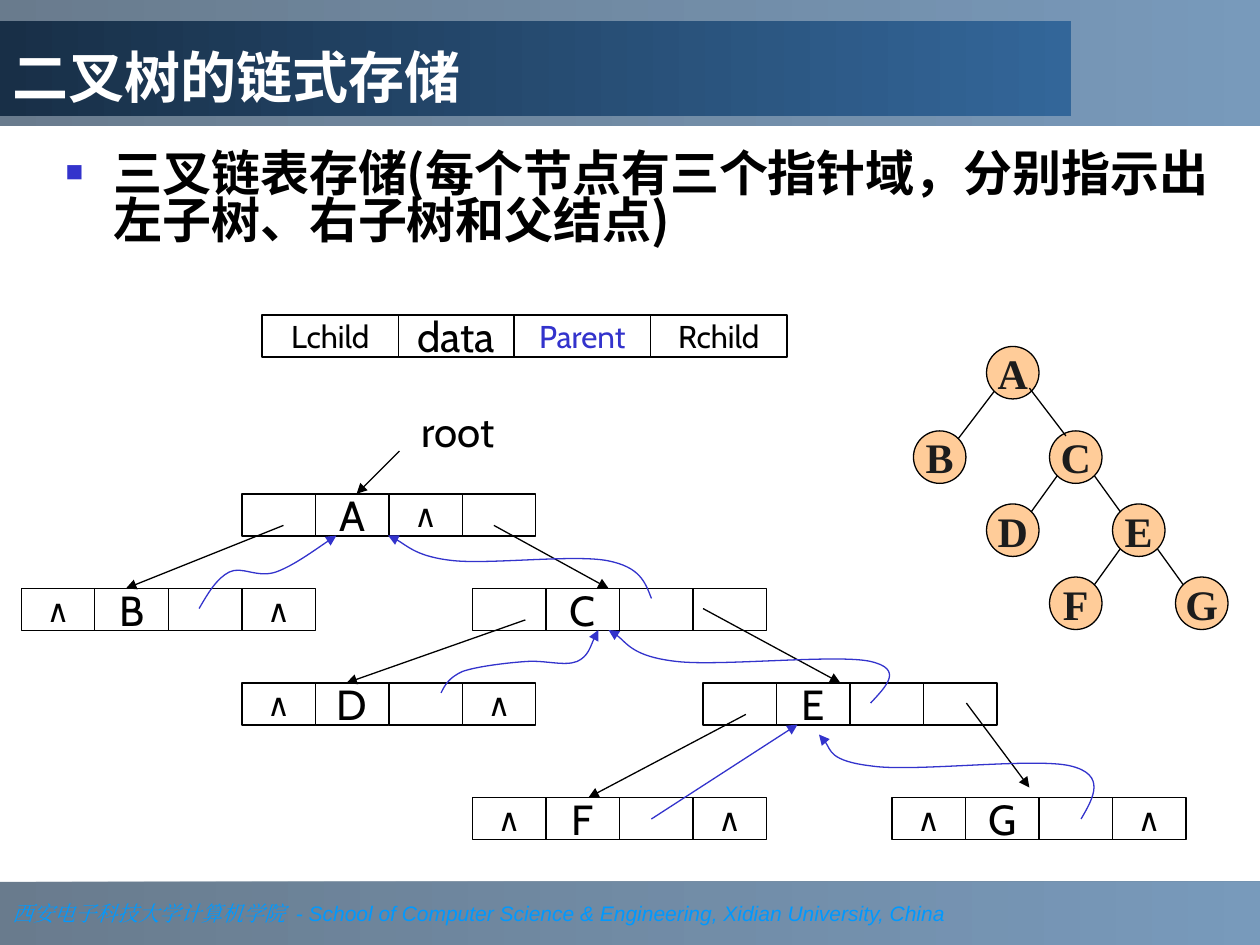
from pptx import Presentation, util as u
from pptx.dml.color import RGBColor
from pptx.enum import shapes, text
from pptx.oxml.ns import qn
from lxml import etree

# Content
TITLE = "二叉树的链式存储"
BODY = "三叉链表存储(每个节点有三个指针域，分别指示出左子树、右子树和父结点)"
FOOTER = [("西安电子科技大学计算机学院  ", "Times New Roman"),
          ("- School of Computer Science & Engineering, Xidian University, China", "Arial")]
COLORS = {"ink": "000000", "blue": "3333CC", "white": "FFFFFF", "footer": "0099FF",
          "circle": "FFCC99", "letter": "1C1C1C", "navy": "182F47", "band": "1C3853",
          "steel": "336699"}
NIL = "∧"
# Field name, width, size, colour
FIELDS = [("Lchild", 13 / 12, 18, "ink"), ("data", 11 / 12, 24, "ink"),
          ("Parent", 13 / 12, 18, "blue"), ("Rchild", 13 / 12, 18, "ink")]
# Left, top, then the lchild, data, parent and rchild cells
RECORDS = [(1.92, 3.92, ["", "A", NIL, ""]), (0.17, 4.67, [NIL, "B", "", NIL]),
           (3.75, 4.67, ["", "C", "", ""]), (1.92, 5.42, [NIL, "D", "", NIL]),
           (5.58, 5.42, ["", "E", "", ""]), (3.75, 6.33, [NIL, "F", "", NIL]),
           (7.08, 6.33, [NIL, "G", "", NIL])]
CHILD_ARROWS = [(3.17, 3.58, 2.83, 3.92), (2.25, 4.17, 1, 4.67), (3.92, 4.17, 4.83, 4.67),
                (4.17, 4.92, 2.75, 5.42), (5.58, 4.83, 6.67, 5.42),
                (5.92, 5.67, 4.67, 6.33), (7.67, 5.58, 8.17, 6.25)]
PARENT_ARROW = (5.17, 6.5, 6.33, 5.75)
# Bezier points: start, then two controls and an end for each segment
PARENT_CURVES = [
    [(1.58, 4.83), (1.65, 4.71), (1.72, 4.59), (1.82, 4.54), (1.92, 4.49), (2.04, 4.59),
     (2.19, 4.54), (2.33, 4.49), (2.59, 4.3), (2.67, 4.25)],
    [(5.17, 4.75), (5.12, 4.62), (5.08, 4.5), (4.82, 4.45), (4.56, 4.4), (3.89, 4.48),
     (3.6, 4.45), (3.31, 4.42), (3.17, 4.28), (3.08, 4.25)],
    [(3.5, 5.5), (3.53, 5.44), (3.56, 5.38), (3.67, 5.33), (3.78, 5.29), (4.03, 5.26),
     (4.18, 5.25), (4.33, 5.24), (4.48, 5.29), (4.58, 5.25), (4.67, 5.21), (4.72, 5.04),
     (4.75, 5)],
    [(6.91, 5.58), (7.04, 5.44), (7.17, 5.31), (6.91, 5.25), (6.65, 5.19), (5.71, 5.29),
     (5.37, 5.25), (5.02, 5.21), (4.93, 5.04), (4.83, 5)],
    [(8.58, 6.5), (8.68, 6.33), (8.78, 6.15), (8.5, 6.08), (8.22, 6.01), (7.25, 6.13),
     (6.92, 6.08), (6.58, 6.04), (6.57, 5.88), (6.5, 5.83)]]
# Small tree: left and top of each circle, and its edges
CIRCLES = {"A": (7.83, 2.75), "B": (7.25, 3.42), "C": (8.33, 3.42), "D": (7.83, 4),
           "E": (8.83, 4), "F": (8.33, 4.58), "G": (9.33, 4.58)}
EDGES = ["AB", "CD", "CE", "EF", "EG"]
EDGE_AC = (8.17, 3.08, 8.46, 3.46)
CELL_W, CELL_H, DIAMETER = 7 / 12, 1 / 3, 5 / 12


def rgb(name):
    return RGBColor.from_string(COLORS[name])


def place(sp, *box):
    sp.left, sp.top, sp.width, sp.height = map(u.Inches, box)


def write(p, words, font="Cabin", size=24, color="ink", bold=False, italic=False):
    r = p.add_run()
    r.text = words
    f = r.font
    f.name, f.size, f.bold, f.italic = font, u.Pt(size), bold, italic
    f.color.rgb = rgb(color)
    ea = "Noto Sans CJK SC" if font == "Cabin" else font
    r._r.get_or_add_rPr().find(qn("a:latin")).addnext(
        r._r.makeelement(qn("a:ea"), {"typeface": ea}))


def gradient(sp, start, end, alpha=None):
    sp.fill.gradient()
    sp.fill.gradient_angle = 0
    for stop, color in zip(sp.fill.gradient_stops, (start, end)):
        stop.color.rgb = rgb(color)
    if alpha:
        for c in sp._element.spPr.iter(qn("a:srgbClr")):
            etree.SubElement(c, qn("a:alpha"), val=str(alpha * 1000))


def shape(parent, kind, box, words="", fill=None, **fmt):
    sp = parent.add_shape(kind, *map(u.Inches, box))
    sp.shadow.inherit = False
    if fill:
        sp.fill.solid()
        sp.fill.fore_color.rgb = rgb(fill)
    else:
        sp.fill.background()
    sp.line.color.rgb, sp.line.width = rgb("ink"), u.Pt(0.75)
    tf = sp.text_frame
    tf.word_wrap, tf.vertical_anchor = False, text.MSO_ANCHOR.MIDDLE
    if words:
        p = tf.paragraphs[0]
        p.alignment = text.PP_ALIGN.CENTER
        write(p, words, **fmt)
    return sp


def stroke(sp, color, arrow):
    sp.line.color.rgb, sp.line.width = rgb(color), u.Pt(0.75)
    if arrow:
        etree.SubElement(sp.line._get_or_add_ln(), qn("a:tailEnd"), type="triangle")


def line(parent, points, color="ink", arrow=False):
    c = parent.add_connector(shapes.MSO_CONNECTOR.STRAIGHT, *map(u.Inches, points))
    stroke(c, color, arrow)
    etree.SubElement(c._element.spPr, qn("a:effectLst"))


def curve(parent, points, color):
    emu = [(u.Inches(x), u.Inches(y)) for x, y in points]
    builder = parent.build_freeform(*emu[0])
    builder.add_line_segments(emu[1:], close=False)
    sp = builder.convert_to_shape()
    sp.shadow.inherit = False
    sp.fill.background()
    stroke(sp, color, True)
    # Every three line steps become one Bezier segment
    steps = list(sp._element.spPr.iter(qn("a:lnTo")))
    for i in range(0, len(steps), 3):
        bezier = steps[i].makeelement(qn("a:cubicBezTo"), {})
        steps[i].addprevious(bezier)
        for step in steps[i:i + 3]:
            bezier.append(step[0])
            step.getparent().remove(step)


prs = Presentation()
prs.slide_width, prs.slide_height = u.Inches(10), u.Inches(7.5)
s = prs.slides.add_slide(prs.slide_layouts[1])
RECT, OVAL = shapes.MSO_SHAPE.RECTANGLE, shapes.MSO_SHAPE.OVAL

# Bands, behind the placeholders
footer = shape(s.shapes, RECT, (0, 7, 10, 0.5))
header = shape(s.shapes, RECT, (0, 0, 10, 1))
for i, band in enumerate((footer, header)):
    gradient(band, "band", "steel", alpha=66)
    band.line.fill.background()
    s.shapes._spTree.insert(2 + i, band._element)
p = footer.text_frame.paragraphs[0]
p.alignment = text.PP_ALIGN.LEFT
for words, font in FOOTER:
    write(p, words, font=font, size=12, color="footer", italic=True)

# Title and body
title, body = s.shapes.title, s.placeholders[1]
place(title, 0, 0.17, 8.5, 0.75)
place(body, 0.42, 1.17, 9.33, 1.08)
gradient(title, "navy", "steel")
for sp, anchor in ((title, text.MSO_ANCHOR.BOTTOM), (body, text.MSO_ANCHOR.TOP)):
    tf = sp.text_frame
    tf.auto_size, tf.vertical_anchor, tf.word_wrap = text.MSO_AUTO_SIZE.NONE, anchor, True
    tf.paragraphs[0].alignment = text.PP_ALIGN.LEFT
    tf.paragraphs[0].space_before = u.Pt(0)
write(title.text_frame.paragraphs[0], TITLE, size=32, color="white", bold=True)
p = body.text_frame.paragraphs[0]
p.line_spacing = 0.8
pPr = p._p.get_or_add_pPr()
pPr.set("marL", str(u.Inches(0.38)))
pPr.set("indent", str(-u.Inches(0.38)))
etree.SubElement(etree.SubElement(pPr, qn("a:buClr")), qn("a:srgbClr"), val=COLORS["blue"])
etree.SubElement(pPr, qn("a:buSzPct"), val="60000")
etree.SubElement(pPr, qn("a:buChar"), char="■")
write(p, BODY, font="Noto Sans CJK SC", size=28, bold=True)

# Small tree
tree = s.shapes.add_group_shape().shapes
for name, (x, y) in CIRCLES.items():
    shape(tree, OVAL, (x, y, DIAMETER, DIAMETER), name, fill="circle",
          font="Times New Roman", color="letter", bold=True)
radius = DIAMETER / 2
diagonal = radius * 0.5 ** 0.5
for parent, child in EDGES:
    (x1, y1), (x2, y2) = CIRCLES[parent], CIRCLES[child]
    dx = diagonal if x2 > x1 else -diagonal
    line(tree, (x1 + radius + dx, y1 + radius + diagonal,
                x2 + radius - dx, y2 + radius - diagonal))
line(tree, EDGE_AC)

# Linked records
linked = s.shapes.add_group_shape().shapes
for x, y, cells in RECORDS:
    for i, cell in enumerate(cells):
        shape(linked, RECT, (x + i * CELL_W, y, CELL_W, CELL_H), cell,
              size=18 if cell == NIL else 24)
for points in CHILD_ARROWS:
    line(linked, points, arrow=True)
line(linked, PARENT_ARROW, color="blue", arrow=True)
for points in PARENT_CURVES:
    curve(linked, points, "blue")
root = linked.add_textbox(*map(u.Inches, (3.25, 3.17, 1.17, 0.5)))
root.text_frame.word_wrap = True
root.text_frame.auto_size = text.MSO_AUTO_SIZE.SHAPE_TO_FIT_TEXT
write(root.text_frame.paragraphs[0], "root")

# Node layout
x = 2.08
for name, width, size, color in FIELDS:
    shape(s.shapes, RECT, (x, 2.5, width, CELL_H), name, size=size, color=color)
    x += width

prs.save("out.pptx")
